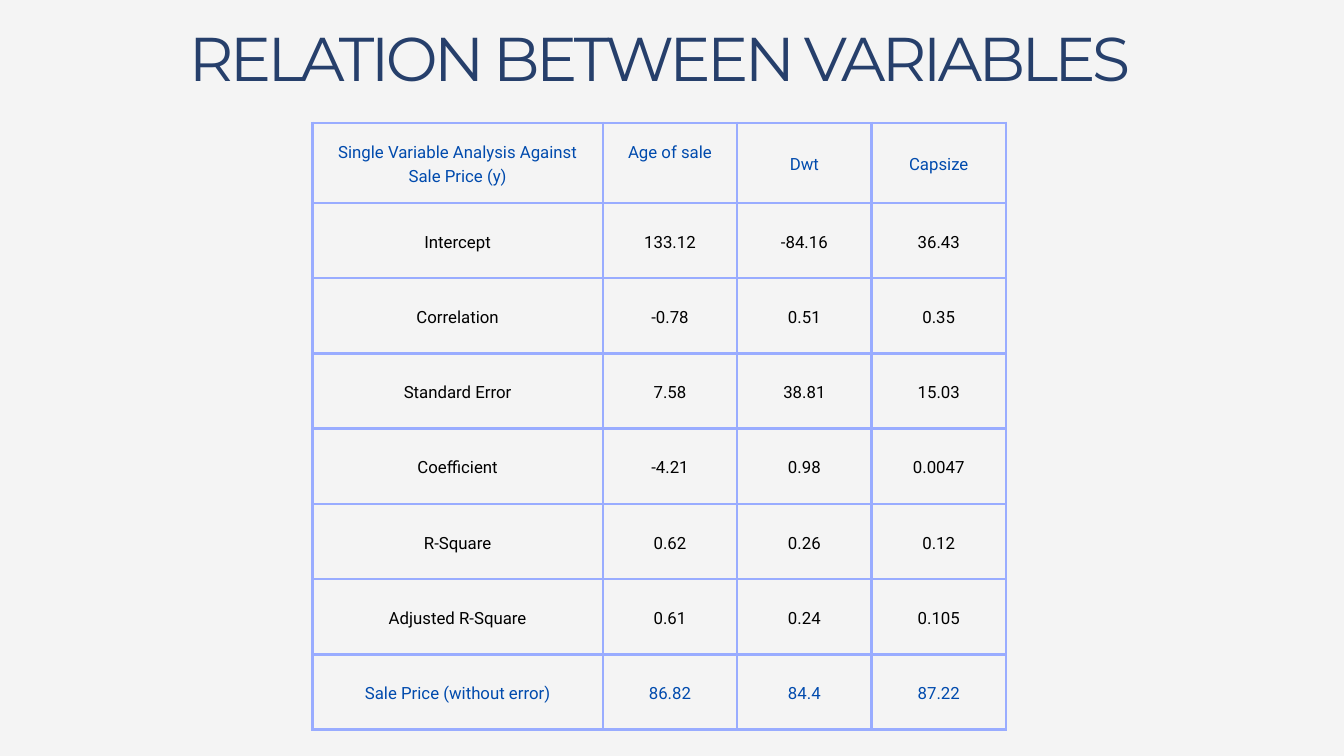
import dataclasses

import lxml.etree
import pptx
import pptx.dml.color
import pptx.enum.text
import pptx.oxml.ns
import pptx.util

Inches = pptx.util.Inches
Pt = pptx.util.Pt
Align = pptx.enum.text.PP_ALIGN
Anchor = pptx.enum.text.MSO_ANCHOR
qn = pptx.oxml.ns.qn


@dataclasses.dataclass(frozen=True)
class Theme:
    paper: str = "F4F4F4"
    navy: str = "263F6B"
    blue: str = "004AAD"
    black: str = "000000"
    border: str = "99ACFF"
    head_font: str = "Montserrat"
    body_font: str = "Roboto"
    head_size: float = 66.2
    body_size: float = 18
    head_line: float = 64.9
    body_line: float = 25.2
    border_width: float = 3


ROWS = [
    ["Single Variable Analysis Against Sale Price (y)", "Age of sale", "Dwt", "Capsize"],
    ["Intercept", "133.12", "-84.16", "36.43"],
    ["Correlation", "-0.78", "0.51", "0.35"],
    ["Standard Error", "7.58", "38.81", "15.03"],
    ["Coefficient", "-4.21", "0.98", "0.0047"],
    ["R-Square", "0.62", "0.26", "0.12"],
    ["Adjusted R-Square", "0.61", "0.24", "0.105"],
    ["Sale Price (without error)", "86.82", "84.4", "87.22"],
]
WIDTHS = [4.32, 2, 2, 2]
HEIGHTS = [1.19] + [1.12] * 7
PAD = 0.21


def rgb(color):
    return pptx.dml.color.RGBColor.from_string(color)


def write(frame, text, *, font, size, color, line, track=None):
    """Put one centred paragraph in a frame; track is letter spacing in points."""
    frame.word_wrap = True
    para = frame.paragraphs[0]
    para.alignment = Align.CENTER
    para.line_spacing = Pt(line)
    para.space_before = Pt(0)
    run = para.add_run()
    run.text = text
    run.font.name = font
    run.font.size = Pt(size)
    run.font.bold = False
    run.font.color.rgb = rgb(color)
    if track is not None:
        run.font._element.set("spc", str(round(track * 100)))


class Page:
    """Holds the theme and the slide being built."""

    def __init__(self, deck, theme):
        self.theme = theme
        self.slide = deck.slides.add_slide(deck.slide_layouts[5])
        fill = self.slide.background.fill
        fill.solid()
        fill.fore_color.rgb = rgb(theme.paper)

    def title(self, text, left, top, width, height):
        theme = self.theme
        shape = self.slide.shapes.title
        shape.left, shape.top = Inches(left), Inches(top)
        shape.width, shape.height = Inches(width), Inches(height)
        frame = shape.text_frame
        frame.margin_left = frame.margin_right = 0
        frame.margin_top = frame.margin_bottom = 0
        frame.vertical_anchor = Anchor.TOP
        frame.auto_size = pptx.enum.text.MSO_AUTO_SIZE.SHAPE_TO_FIT_TEXT
        write(frame, text, font=theme.head_font, size=theme.head_size,
              color=theme.navy, line=theme.head_line, track=-3.9)

    def table(self, rows, left, top, widths, heights):
        table = self.slide.shapes.add_table(
            len(rows), len(widths), Inches(left), Inches(top),
            Inches(sum(widths)), Inches(sum(heights))).table
        table.first_row = table.horz_banding = False
        for column, width in zip(table.columns, widths):
            column.width = Inches(width)
        for row, height in zip(table.rows, heights):
            row.height = Inches(height)
        for r, row in enumerate(rows):
            color = self.theme.blue if r in (0, len(rows) - 1) else self.theme.black
            for c, text in enumerate(row):
                self.cell(table.cell(r, c), text, color)
        return table

    def cell(self, cell, text, color):
        theme = self.theme
        cell.margin_left = cell.margin_right = Inches(PAD)
        cell.margin_top = cell.margin_bottom = Inches(PAD)
        cell.vertical_anchor = Anchor.MIDDLE
        cell.fill.background()
        write(cell.text_frame, text, font=theme.body_font, size=theme.body_size,
              color=color, line=theme.body_line)
        self.frame(cell)

    def frame(self, cell):
        """Draw all four borders; they must come before the cell's fill."""
        props = cell._tc.get_or_add_tcPr()
        for place, side in enumerate(("lnL", "lnR", "lnT", "lnB")):
            line = lxml.etree.Element(qn("a:" + side), w=str(Pt(self.theme.border_width)))
            fill = lxml.etree.SubElement(line, qn("a:solidFill"))
            lxml.etree.SubElement(fill, qn("a:srgbClr"), val=self.theme.border)
            props.insert(place, line)


def main():
    deck = pptx.Presentation()
    deck.slide_width, deck.slide_height = Inches(20), Inches(11.25)
    page = Page(deck, Theme())
    page.title("RELATION BETWEEN VARIABLES", 1.84, 0.49, 15.95, 0.94)
    table = page.table(ROWS, 4.65, 1.83, WIDTHS, HEIGHTS)
    # Raise "Age of sale" to the first line of the two-line heading beside it.
    table.cell(0, 1).margin_bottom = Inches(PAD) + Pt(page.theme.body_line)
    deck.save("out.pptx")


if __name__ == "__main__":
    main()
